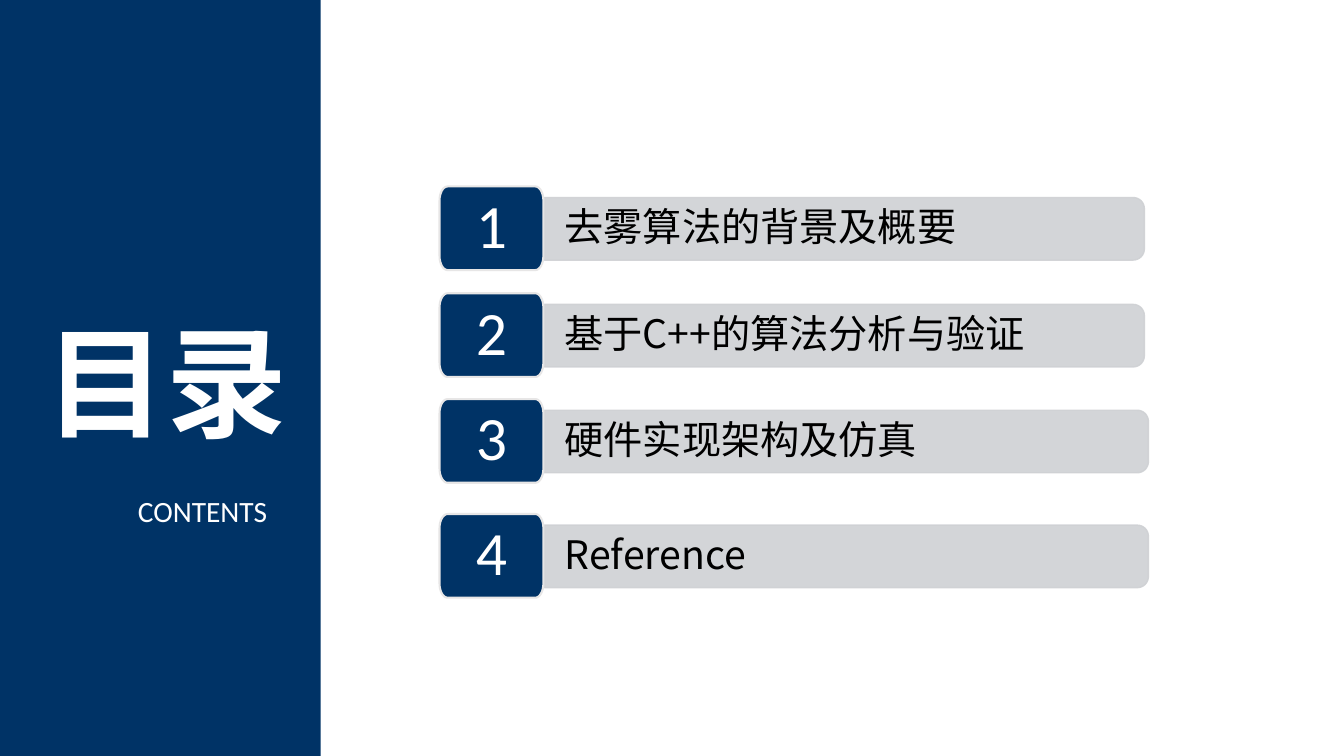
from dataclasses import dataclass
from math import cos, pi, sin

from lxml import etree
from pptx import Presentation
from pptx.dml.color import RGBColor
from pptx.enum.shapes import MSO_SHAPE
from pptx.enum.text import MSO_ANCHOR, MSO_AUTO_SIZE, PP_ALIGN
from pptx.oxml.ns import qn
from pptx.util import Inches, Pt

RECTANGLE = MSO_SHAPE.RECTANGLE
MIDDLE, TOP = MSO_ANCHOR.MIDDLE, MSO_ANCHOR.TOP
LEFT, CENTER = PP_ALIGN.LEFT, PP_ALIGN.CENTER
FIT_SHAPE = MSO_AUTO_SIZE.SHAPE_TO_FIT_TEXT
ARC_STEPS = 8


@dataclass(frozen=True)
class Theme:
    navy: str = "003366"
    grey: str = "CFD1D4"
    edge: str = "E7E6E6"
    white: str = "FFFFFF"
    black: str = "000000"
    latin: str = "Calibri"
    chinese: str = "Noto Sans CJK SC"
    title: float = 86.3
    subtitle: float = 21
    number: float = 44
    topic: float = 28
    bar_opacity: int = 90


THEME = Theme()

# number, topic, top of the row, width of the bar
ENTRIES = [
    ("1", "去雾算法的背景及概要", 1.85, 5.95),
    ("2", "基于C++的算法分析与验证", 2.91, 5.95),
    ("3", "硬件实现架构及仿真", 3.96, 5.99),
    ("4", "Reference", 5.1, 5.99),
]


def write(shape, text, size, color, font, anchor=MIDDLE, align=LEFT, spacing=0.9):
    frame = shape.text_frame
    frame.vertical_anchor = anchor
    paragraph = frame.paragraphs[0]
    paragraph.alignment = align
    paragraph.line_spacing = spacing
    run = paragraph.add_run()
    run.text = text
    run.font.size = Pt(size)
    run.font.name = font
    run.font.color.rgb = RGBColor.from_string(color)
    etree.SubElement(run.font._element, qn("a:ea"), typeface=font)
    return run


def set_insets(shape, left, right, vertical):
    frame = shape.text_frame
    frame.word_wrap = True
    frame.margin_left, frame.margin_right = Inches(left), Inches(right)
    frame.margin_top = frame.margin_bottom = Inches(vertical)


def set_opacity(shape, percent):
    """Apply the opacity to the fill and the line."""
    for color in shape._element.spPr.iter(qn("a:srgbClr")):
        etree.SubElement(color, qn("a:alpha"), val=str(percent * 1000))


def paint(shape, fill, line=None, line_width=1):
    shape.shadow.inherit = False
    shape.fill.solid()
    shape.fill.fore_color.rgb = RGBColor.from_string(fill)
    if line:
        shape.line.color.rgb = RGBColor.from_string(line)
        shape.line.width = Pt(line_width)
    else:
        shape.line.fill.background()


def add_rounded(slide, box, radius_x, radius_y, round_left):
    """Draw a box with elliptical right corners and, if asked, left ones too."""
    left, top, width, height = box
    right, bottom = left + width, top + height
    corners = [
        (right - radius_x, top + radius_y, -pi / 2),
        (right - radius_x, bottom - radius_y, 0),
    ]
    if round_left:
        corners += [
            (left + radius_x, bottom - radius_y, pi / 2),
            (left + radius_x, top + radius_y, pi),
        ]
    points = []
    for center_x, center_y, start in corners:
        for step in range(ARC_STEPS + 1):
            angle = start + step * pi / 2 / ARC_STEPS
            points.append((center_x + radius_x * cos(angle),
                           center_y + radius_y * sin(angle)))
    if not round_left:
        points += [(left, bottom), (left, top)]
    outline = [(Inches(x), Inches(y)) for x, y in points]
    builder = slide.shapes.build_freeform(*outline[0])
    builder.add_line_segments(outline[1:], close=True)
    return builder.convert_to_shape()


def add_side_panel(slide, left, top, width, height):
    panel = slide.shapes.add_shape(
        RECTANGLE, Inches(left), Inches(top), Inches(width), Inches(height))
    paint(panel, THEME.navy)

    title = slide.shapes.add_textbox(
        Inches(left + 0.36), Inches(top + 3.45), Inches(2.68), Inches(0.83))
    title.text_frame.word_wrap = True
    write(title, "目录", THEME.title, THEME.white, THEME.latin).font.bold = True

    subtitle = slide.shapes.add_textbox(
        Inches(left + 1.28), Inches(top + 4.84), Inches(1.5), Inches(0.45))
    subtitle.text_frame.word_wrap = False
    subtitle.text_frame.auto_size = FIT_SHAPE
    write(subtitle, "CONTENTS", THEME.subtitle, THEME.white, THEME.latin,
          anchor=TOP, spacing=1.0)


def add_entry(slide, left, top, number, topic, bar_width):
    bar = add_rounded(slide, (left + 1.04, top + 0.11, bar_width, 0.62),
                      0.11, 0.11, round_left=False)
    paint(bar, THEME.grey, THEME.grey)
    set_opacity(bar, THEME.bar_opacity)
    set_insets(bar, 0.2, 0.23, 0.13)
    write(bar, topic, THEME.topic, THEME.black, THEME.chinese)

    badge = add_rounded(slide, (left, top, 1.03, 0.83),
                        0.08, 0.14, round_left=True)
    paint(badge, THEME.navy, THEME.edge, 1.5)
    set_insets(badge, 0.15, 0.15, 0.09)
    write(badge, number, THEME.number, THEME.white, THEME.latin, align=CENTER)


def main():
    deck = Presentation()
    deck.slide_width, deck.slide_height = Inches(13.33), Inches(7.5)
    slide = deck.slides.add_slide(deck.slide_layouts[6])
    add_side_panel(slide, -0.01, 0, 3.19, 7.5)
    for number, topic, top, bar_width in ENTRIES:
        add_entry(slide, 4.36, top, number, topic, bar_width)
    deck.save("out.pptx")


if __name__ == "__main__":
    main()
